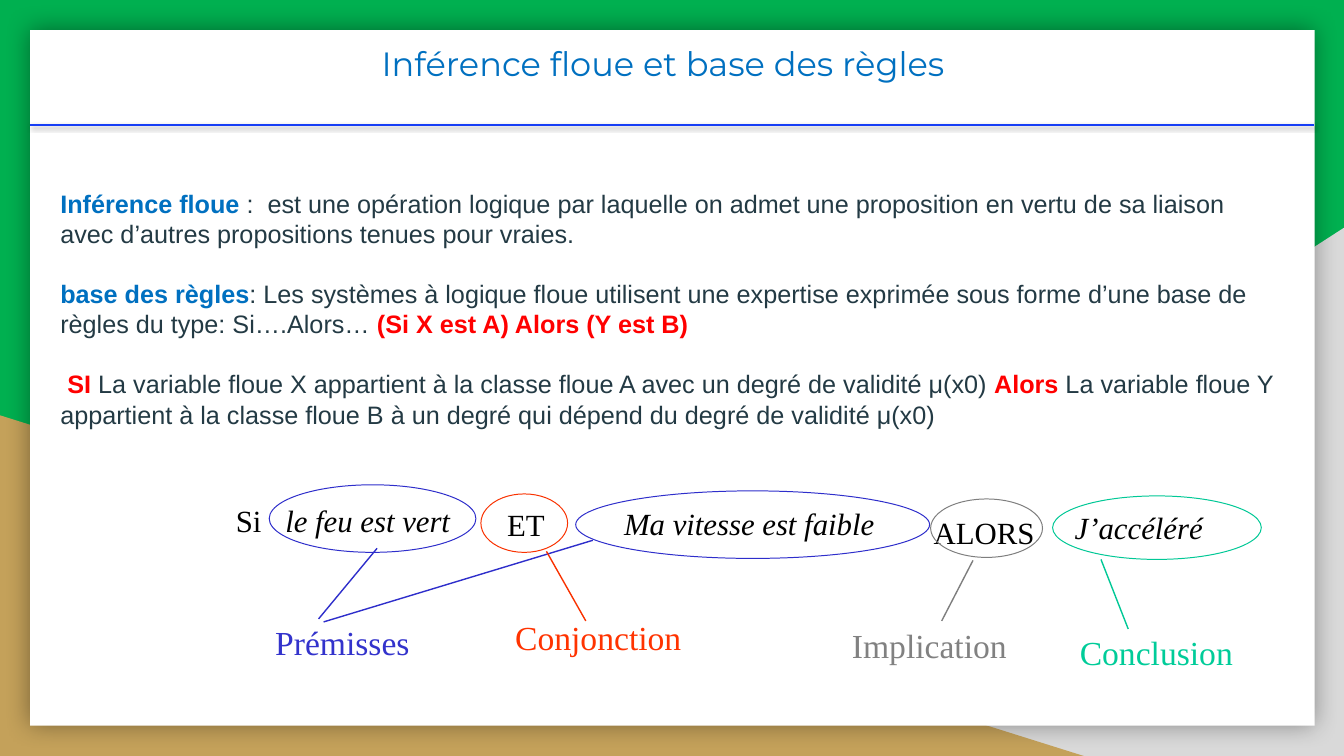
from lxml import etree
from pptx import Presentation
from pptx.dml.color import RGBColor
from pptx.enum.shapes import MSO_CONNECTOR, MSO_SHAPE
from pptx.enum.text import MSO_ANCHOR, PP_ALIGN
from pptx.oxml.ns import qn
from pptx.util import Inches, Pt

LINE = MSO_CONNECTOR.STRAIGHT
OVAL, RECTANGLE, TRIANGLE = MSO_SHAPE.OVAL, MSO_SHAPE.RECTANGLE, MSO_SHAPE.RIGHT_TRIANGLE
TOP, LEFT, CENTER = MSO_ANCHOR.TOP, PP_ALIGN.LEFT, PP_ALIGN.CENTER

THEME = {
    "title_font": "Montserrat", "body_font": "Arial", "rule_font": "Times New Roman",
    "title_size": 24, "body_size": 18, "term_size": 22, "role_size": 24,
    "body_leading": 21.5, "rule_leading": 1.07,
    "oval_width": 0.72, "pointer_width": 1, "divider_width": 2,
    "green": "00B050", "grey": "D9D9D9", "tan": "C4A15A", "white": "FFFFFF",
    "black": "000000", "heading": "0070C0", "text": "233A44", "alert": "FF0000",
    "divider": "163EF5",
    "premise": ("2E2ECB", "3333CC"), "conjunction": ("F93200", "FF3300"),
    "implication": ("7E7E7E", "818181"), "conclusion": ("00C896", "00CC99"),
}

TITLE = "Inférence floue et base des règles"
DEFINITIONS = [
    (0, [("Inférence floue ", "heading"),
         (":  est une opération logique par laquelle on admet une proposition en vertu de sa "
          "liaison avec d’autres propositions tenues pour vraies.", "text")]),
    (0, [("base des règles", "heading"),
         (": Les systèmes à logique floue utilisent une expertise exprimée sous forme d’une "
          "base de règles du type: Si….Alors… ", "text"),
         ("(Si X est A) Alors (Y est B)", "alert")]),
    (0.07, [("SI", "alert"),
            (" La variable floue X appartient à la classe floue A avec un degré de validité "
             "μ(x0) ", "text"),
            ("Alors", "alert"),
            (" La variable floue Y appartient à la classe floue B à un degré qui dépend du "
             "degré de validité μ(x0)", "text")]),
]

TERMS = [
    ("Si", 2.34, 4.95, False),
    ("le feu est vert", 2.83, 4.95, True),
    ("ET", 5.03, 4.99, False),
    ("Ma vitesse est faible", 6.19, 4.98, True),
    ("ALORS", 9.26, 5.07, False),
    ("J’accéléré", 10.66, 5.02, True),
]
OVALS = [
    ("premise", 2.67, 4.81, 2.05, 0.67),
    ("conjunction", 4.77, 4.9, 0.86, 0.58),
    ("premise", 5.71, 4.87, 3.51, 0.67),
    ("implication", 9.23, 4.95, 1.11, 0.58),
    ("conclusion", 10.44, 4.92, 2.07, 0.63),
]
POINTERS = [
    ("premise", 3.74, 5.44, 3.16, 6.14),
    ("premise", 5.88, 5.36, 3.21, 6.17),
    ("conjunction", 5.42, 5.47, 5.81, 6.16),
    ("implication", 9.65, 5.56, 9.34, 6.16),
    ("conclusion", 10.92, 5.55, 11.19, 6.24),
]
ROLES = [
    ("Prémisses", "premise", 2.73, 6.14),
    ("Conjonction", "conjunction", 5.11, 6.09),
    ("Implication", "implication", 8.45, 6.17),
    ("Conclusion", "conclusion", 10.71, 6.24),
]

prs = Presentation()
prs.slide_width, prs.slide_height = Inches(13.33), Inches(7.5)
slide = prs.slides.add_slide(prs.slide_layouts[6])


def rgb(value):
    return RGBColor.from_string(value)


def set_effects(item, opacity=0, blur=0, distance=0, angle=0):
    properties = item._element.spPr
    for old in properties.findall(qn("a:effectLst")):
        properties.remove(old)
    effects = etree.SubElement(properties, qn("a:effectLst"))
    if opacity:
        shadow = etree.SubElement(
            effects, qn("a:outerShdw"), blurRad=str(Pt(blur)), dist=str(Pt(distance)),
            dir=str(angle * 60000), algn="ctr", rotWithShape="0")
        colour = etree.SubElement(shadow, qn("a:srgbClr"), val=THEME["black"])
        etree.SubElement(colour, qn("a:alpha"), val=str(opacity * 1000))


def add_panel(kind, box, colour):
    panel = slide.shapes.add_shape(kind, *map(Inches, box))
    panel.shadow.inherit = False
    panel.fill.solid()
    panel.fill.fore_color.rgb = rgb(colour)
    panel.line.fill.background()
    return panel


def add_line(ends, colour, width):
    line = slide.shapes.add_connector(LINE, *map(Inches, ends))
    line.line.color.rgb = rgb(colour)
    line.line.width = Pt(width)
    set_effects(line)
    return line


def add_frame(box, inset_x=0, inset_y=0):
    frame = slide.shapes.add_textbox(*map(Inches, box)).text_frame
    frame.word_wrap = True
    frame.vertical_anchor = TOP
    frame.margin_left = frame.margin_right = Inches(inset_x)
    frame.margin_top = frame.margin_bottom = Inches(inset_y)
    return frame


def add_run(paragraph, text, font, size, colour, bold=False, italic=False):
    run = paragraph.add_run()
    run.text = text
    run.font.name, run.font.size = font, Pt(size)
    run.font.color.rgb = rgb(colour)
    run.font.bold, run.font.italic = bold, italic


def add_label(text, left, top, size, colour, italic=False):
    paragraph = add_frame((left, top, 3.2, 0.55)).paragraphs[0]
    paragraph.alignment = LEFT
    paragraph.line_spacing = THEME["rule_leading"]
    add_run(paragraph, text, THEME["rule_font"], size, colour, italic=italic)


slide.background.fill.solid()
slide.background.fill.fore_color.rgb = rgb(THEME["green"])
grey_corner = add_panel(TRIANGLE, (5.22, 2.26, 8.11, 5.24), THEME["grey"])
grey_corner._element.spPr.xfrm.set("flipH", "1")
add_panel(TRIANGLE, (0, 4.12, 10.75, 3.38), THEME["tan"])
page = add_panel(RECTANGLE, (0.3, 0.3, 12.74, 6.9), THEME["white"])
set_effects(page, 40, 18)

heading = add_frame((0.21, 0.33, 12.73, 0.8), 0.1, 0.1).paragraphs[0]
heading.alignment = CENTER
add_run(heading, TITLE, THEME["title_font"], THEME["title_size"], THEME["heading"])
divider = add_line((0.3, 1.24, 13.03, 1.24), THEME["divider"], THEME["divider_width"])
set_effects(divider, 38, 3.1, 1.6, 90)

definitions = add_frame((0.5, 1.82, 12.33, 2.52), 0.1, 0.05)
for index, (indent, parts) in enumerate(DEFINITIONS):
    paragraph = definitions.add_paragraph() if index else definitions.paragraphs[0]
    paragraph.line_spacing = Pt(THEME["body_leading"])
    if index:
        paragraph.space_before = Pt(THEME["body_leading"])
    if indent:
        paragraph._p.get_or_add_pPr().set("indent", str(Inches(indent)))
    for text, role in parts:
        add_run(paragraph, text, THEME["body_font"], THEME["body_size"], THEME[role],
                bold=role != "text")

for text, left, top, italic in TERMS:
    add_label(text, left, top, THEME["term_size"], THEME["black"], italic)
for role, *box in OVALS:
    oval = slide.shapes.add_shape(OVAL, *map(Inches, box))
    oval.shadow.inherit = False
    oval.fill.background()
    oval.line.color.rgb = rgb(THEME[role][0])
    oval.line.width = Pt(THEME["oval_width"])
for role, *ends in POINTERS:
    add_line(ends, THEME[role][0], THEME["pointer_width"])
for text, role, left, top in ROLES:
    add_label(text, left, top, THEME["role_size"], THEME[role][1])

prs.save("out.pptx")
